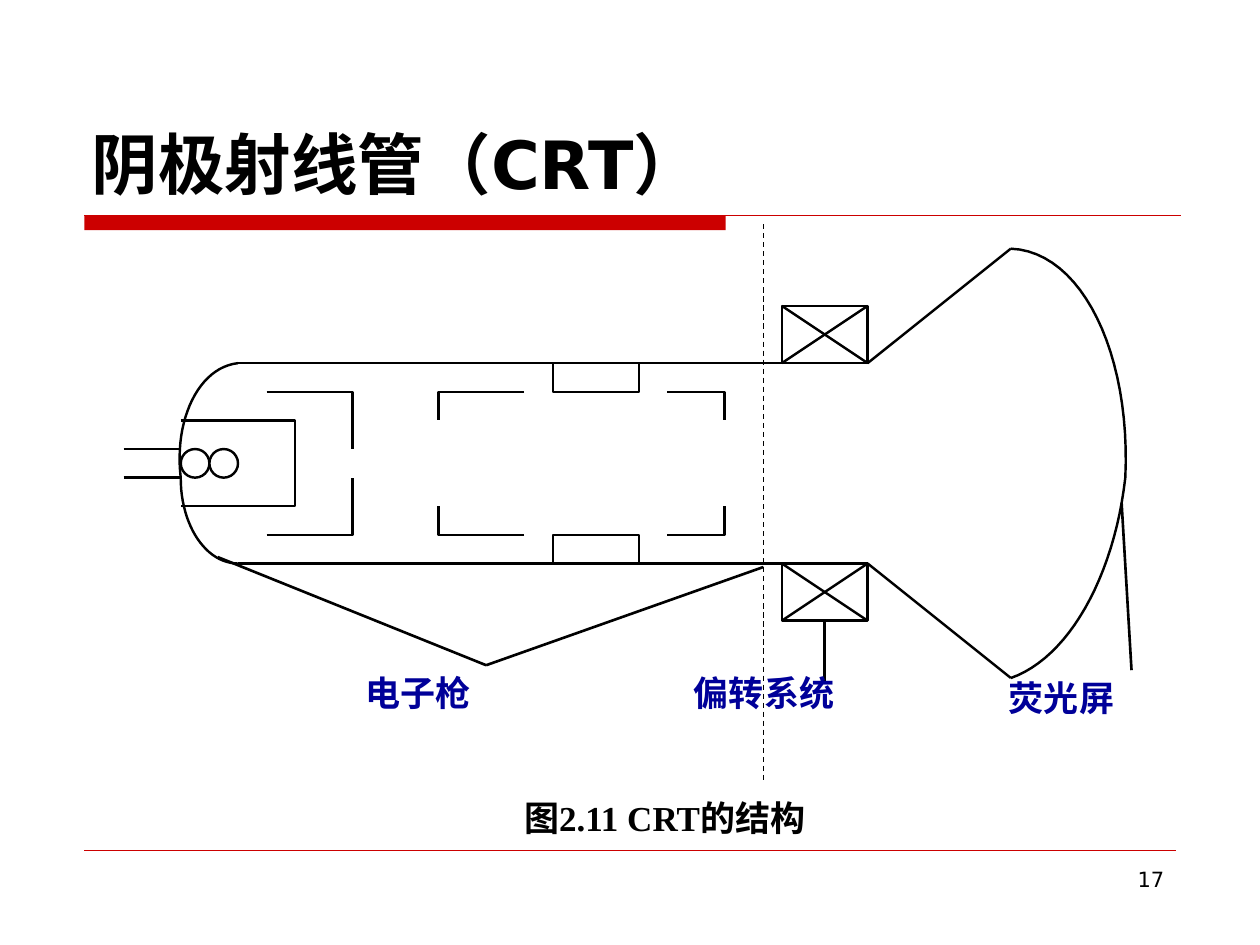
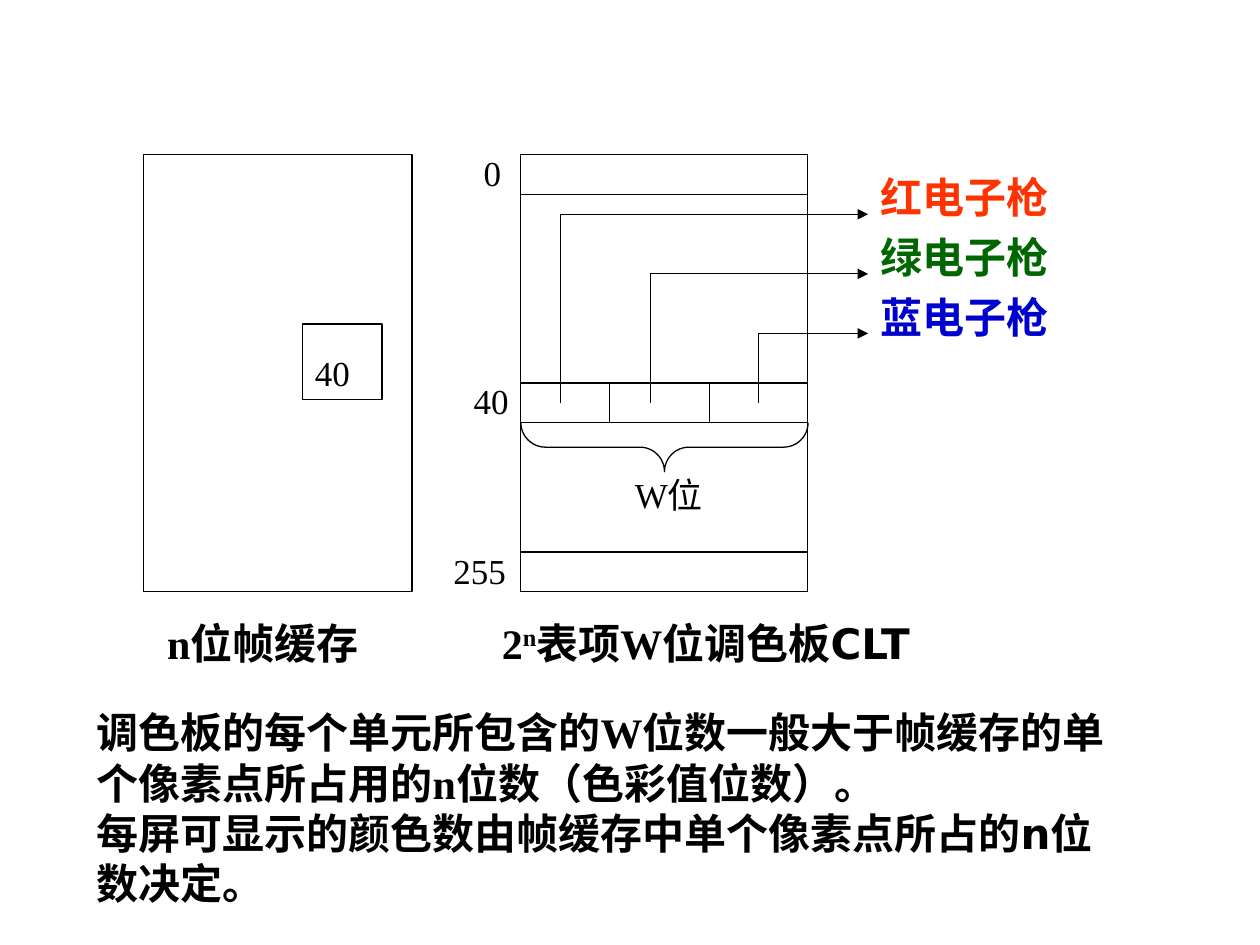
from dataclasses import dataclass

from lxml import etree
from pptx import Presentation
from pptx import util as u
from pptx.dml.color import RGBColor
from pptx.enum import dml, shapes, text
from pptx.oxml import ns


@dataclass(frozen=True)
class Theme:
    sans: str = "DejaVu Sans"
    serif: str = "Times New Roman"
    ink: str = "000000"
    paper: str = "FFFFFF"
    band: str = "CC0000"
    label: str = "000099"
    guns: tuple = ("FF3300", "006600", "0000CC")
    title: float = 38
    body: float = 24
    note: float = 20
    small: float = 12
    hair: float = 0.25
    thin: float = 0.75
    tube: float = 1.39
    lead: float = 1.5


class Deck:
    """Draws on the current slide; all positions are in centimetres."""

    def __init__(self, theme):
        self.theme = theme
        self.prs = Presentation()
        self.prs.slide_width, self.prs.slide_height = u.Cm(25.4), u.Cm(19.05)
        self.slide = None

    def page(self):
        self.slide = self.prs.slides.add_slide(self.prs.slide_layouts[6])

    def pen(self, line, width, color=None):
        line.color.rgb = RGBColor.from_string(color or self.theme.ink)
        line.width = u.Pt(width)

    def line(self, start, end, width, color=None, dash=False, arrow=False):
        wire = self.slide.shapes.add_connector(
            shapes.MSO_CONNECTOR.STRAIGHT, *map(u.Cm, (*start, *end)))
        self.pen(wire.line, width, color)
        if dash:
            wire.line.dash_style = dml.MSO_LINE.DASH
        props = wire._element.spPr
        if arrow:
            etree.SubElement(props.find(ns.qn("a:ln")), ns.qn("a:tailEnd"), type="triangle")
        etree.SubElement(props, ns.qn("a:effectLst"))
        return wire

    def shape(self, kind, box, width=None, fill=None):
        item = self.slide.shapes.add_shape(kind, *map(u.Cm, box))
        item.shadow.inherit = False
        if fill:
            item.fill.solid()
            item.fill.fore_color.rgb = RGBColor.from_string(fill)
        else:
            item.fill.background()
        if width:
            self.pen(item.line, width)
        else:
            item.line.fill.background()
        return item

    def rect(self, box, width=None, fill=None):
        return self.shape(shapes.MSO_SHAPE.RECTANGLE, box, width, fill)

    def trace(self, points, width):
        """Draw an open outline through the points."""
        first, *rest = [(u.Cm(x), u.Cm(y)) for x, y in points]
        pen = self.slide.shapes.build_freeform(*first)
        pen.add_line_segments(rest, close=False)
        item = pen.convert_to_shape()
        item.shadow.inherit = False
        item.fill.background()
        self.pen(item.line, width)

    def letter(self, frame, rows, size, font=None, colors=(), bold=False,
               align=text.PP_ALIGN.LEFT, gap=1.0, anchor=text.MSO_ANCHOR.TOP):
        """Fill a frame; each row is a string or a list of (string, font, raise %)."""
        frame.word_wrap = True
        frame.vertical_anchor = anchor
        font = font or self.theme.sans
        for i, row in enumerate(rows):
            para = frame.paragraphs[0] if i == 0 else frame.add_paragraph()
            para.alignment, para.line_spacing = align, gap
            color = colors[i] if colors else self.theme.ink
            for words, face, lift in [(row, font, 0)] if isinstance(row, str) else row:
                run = para.add_run()
                run.text = words
                run.font.name, run.font.size, run.font.bold = face, u.Pt(size), bold
                run.font.color.rgb = RGBColor.from_string(color)
                if lift:
                    run._r.get_or_add_rPr().set("baseline", str(lift * 1000))

    def text(self, box, rows, size, **style):
        item = self.slide.shapes.add_textbox(*map(u.Cm, box))
        self.letter(item.text_frame, rows, size, **style)

    def frame(self, title, number):
        """Add the title, red band, footer rule and page number."""
        t = self.theme
        self.rect((1.7, 4.34, 12.93, 0.3), fill=t.band)
        self.line((1.7, 4.34), (23.8, 4.34), t.thin, t.band)
        self.line((1.7, 17.14), (23.7, 17.14), t.hair, t.band)
        self.text((1.6, 0.84, 22.23, 3.38), [title], t.title, bold=True,
                  anchor=text.MSO_ANCHOR.BOTTOM)
        self.text((18.21, 17.35, 5.51, 1.32), [str(number)], t.small,
                  align=text.PP_ALIGN.RIGHT)


def curve(knots, steps=24):
    """Sample a chain of cubic Bezier segments."""
    points = [knots[0]]
    for i in range(0, len(knots) - 1, 3):
        for k in range(1, steps + 1):
            t = k / steps
            mix = ((1 - t) ** 3, 3 * t * (1 - t) ** 2, 3 * t * t * (1 - t), t ** 3)
            points.append(tuple(sum(m * p[axis] for m, p in zip(mix, knots[i:i + 4]))
                                for axis in (0, 1)))
    return points


def crt(deck):
    t = deck.theme
    unit, left, axis = 0.577, 2.49, 9.34

    def at(x, y):
        """Map tube grid units, counted from the axis, to the slide."""
        return left + x * unit, axis + y * unit

    def trace(points):
        deck.trace([at(*p) for p in points], t.tube)

    deck.page()
    deck.frame("阴极射线管（CRT）", 17)

    bulb = [(4, -3.5), (2.64, -3.35), (1.76, -1.55), (2, 0.5), (2, 2.2), (2.9, 3.5), (4, 3.5)]
    screen = [(31, 7.5), (33, 6.8), (34.6, 4), (35, 0.5), (35.2, -3.8), (33.5, -7.4), (31, -7.5)]
    trace(curve(bulb))
    trace(curve(screen))
    for x in (2, 3):
        deck.shape(shapes.MSO_SHAPE.OVAL, (*at(x, -0.5), unit, unit), t.tube, t.paper)
    trace([(2, -1.5), (6, -1.5), (6, 1.5), (2, 1.5)])

    wires = [((0, 0.5), (2, 0.5)), ((4, 3.5), (26, 3.5)), ((26, 3.5), (31, 7.5)),
             ((23, 3.5), (26, 5.5)), ((23, 5.5), (26, 3.5))]
    plates = [[(5, 2.5), (8, 2.5), (8, 0.5)],
              [(14, 2.5), (11, 2.5), (11, 1.5)],
              [(15, 3.5), (15, 2.5), (18, 2.5), (18, 3.5)],
              [(19, 2.5), (21, 2.5), (21, 1.5)]]
    for side in (-1, 1):
        for (x1, y1), (x2, y2) in wires:
            deck.line(at(x1, side * y1), at(x2, side * y2), t.tube)
        for plate in plates:
            trace([(x, side * y) for x, y in plate])
        coil = deck.rect((*at(23, -5.5 if side < 0 else 3.5), 3 * unit, 2 * unit), t.tube)

    deck.line((15.39, 4.52), (15.39, 15.72), t.thin, dash=True)
    for start in ((4.39, 11.23), (15.39, 11.43)):
        deck.line(start, (9.8, 13.41), t.lead)
    deck.line((22.61, 10.13), (22.81, 13.51), t.lead)
    foot = at(24.5, 5.5)
    deck.line(foot, (foot[0], 13.72), t.lead).begin_connect(coil, 2)

    for x, y, name in ((7.11, 13.41, "电子枪"), (13.74, 13.41, "偏转系统"),
                       (20.09, 13.51, "荧光屏")):
        deck.text((x, y, 5.2, 1.12), [name], t.note, colors=[t.label], bold=True)
    deck.text((9.4, 15.93, 8, 1.12), ["图2.11 CRT的结构"], t.note, font=t.serif,
              bold=True, align=text.PP_ALIGN.CENTER)


def palette(deck):
    t = deck.theme
    top, tall, row = 3.12, 8.81, 0.8
    left, wide = 10.49, 5.79
    right, entry = left + wide, 7.72
    index = dict(font=t.serif, gap=1.5)
    deck.page()

    deck.rect((2.9, top, 5.41, tall), t.thin)
    pixel = deck.rect((6.1, 6.53, 1.6, 1.52), t.thin)
    deck.letter(pixel.text_frame, ["40"], t.note, **index)

    deck.rect((left, top, wide, tall), t.thin)
    for y in (top + row, entry, entry + row, top + tall - row):
        deck.line((left, y), (right, y), t.thin)
    for x in (12.29, 14.3):
        deck.line((x, entry), (x, entry + row), t.thin)
    for i, x in enumerate((11.3, 13.11, 15.29)):
        y = 4.32 + 1.2 * i
        deck.line((x, entry + row / 2), (x, y), t.thin)
        deck.line((x, y), (17.5, y), t.thin, arrow=True)
    for x, y, name in ((9.5, 2.51, "0"), (9.3, 7.11, "40"), (8.89, 10.52, "255")):
        deck.text((x, y, 1.6, 1.52), [name], t.note, **index)

    brace = deck.shape(shapes.MSO_SHAPE.RIGHT_BRACE, (12.9, 6.12, 0.99, wide), t.thin)
    brace.rotation = 90
    brace.adjustments[0] = 0.5
    deck.text((12.09, 8.99, 2.79, 1.52), [[("W", t.serif, 0), ("位", t.sans, 0)]],
              t.note, gap=1.5, align=text.PP_ALIGN.CENTER)
    deck.text((17.5, top, wide, 3.91), ["红电子枪", "绿电子枪", "蓝电子枪"], t.body,
              colors=t.guns, bold=True, gap=1.2)

    deck.text((3.12, 12.32, 6, 1.3), ["n位帧缓存"], t.body, font=t.serif, bold=True)
    deck.text((9.87, 12.32, 12, 1.3),
              [[("2", t.serif, 0), ("n", t.serif, 30), ("表项W", t.serif, 0),
                ("位调色板CLT", t.sans, 0)]], t.body, bold=True)
    deck.text((1.7, 14.12, 21.21, 4.32),
              [[("调色板的每个单元所包含的", t.sans, 0), ("W", t.serif, 0),
                ("位数一般大于帧缓存的单个像素点所占用的", t.sans, 0), ("n", t.serif, 0),
                ("位数（色彩值位数）。", t.sans, 0)],
               "每屏可显示的颜色数由帧缓存中单个像素点所占的n位数决定。"],
              t.body, bold=True)


def main():
    deck = Deck(Theme())
    crt(deck)
    palette(deck)
    deck.prs.save("out.pptx")


if __name__ == "__main__":
    main()
